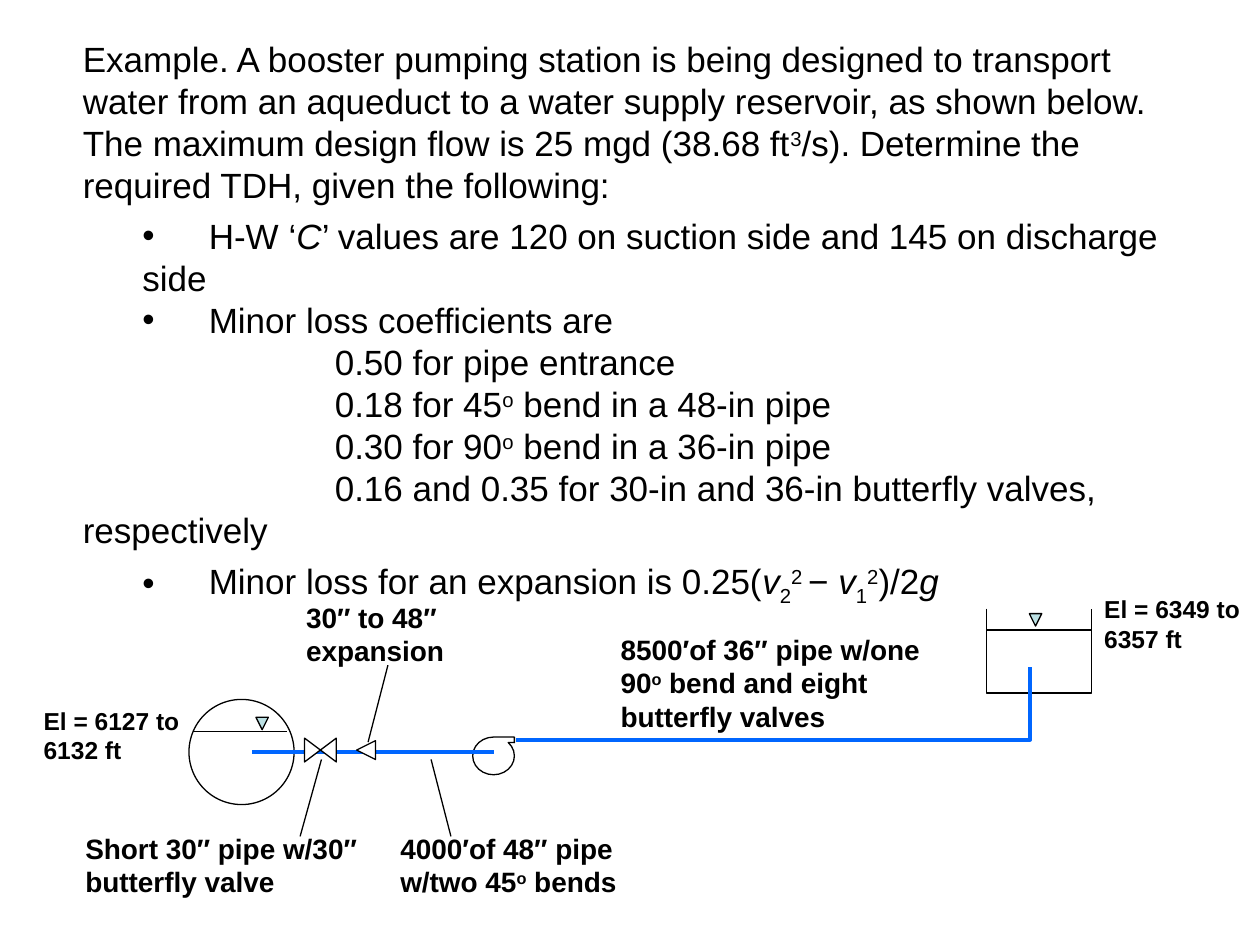
from lxml import etree
from pptx import Presentation, util as u
from pptx.dml.color import RGBColor
from pptx.enum import shapes as sh
from pptx.oxml.ns import qn

INK, PIPE, WATER, WHITE = "000000", "0066FF", "BBE0E3", "FFFFFF"
FORM = sh.MSO_SHAPE
STYLE = {"^": ("baseline", "30000"), "_": ("baseline", "-25000"), "~": ("i", "1")}
PLAIN, BULLET, ITEM = range(3)
BODY = [
    (PLAIN, 0, "Example. A booster pumping station is being designed to transport water from an "
     "aqueduct to a water supply reservoir, as shown below. The maximum design flow is 25 mgd "
     "(38.68 ft|^3|/s). Determine the required TDH, given the following:"),
    (BULLET, 5, "H-W ‘|~C|’ values are 120 on suction side and 145 on discharge side"),
    (BULLET, 0, "Minor loss coefficients are"),
    (ITEM, 0, "0.50 for pipe entrance"),
    (ITEM, 0, "0.18 for 45|^o| bend in a 48-in pipe"),
    (ITEM, 0, "0.30 for 90|^o| bend in a 36-in pipe"),
    (ITEM, 0, "0.16 and 0.35 for 30-in and 36-in butterfly valves, respectively"),
    (BULLET, 5, "Minor loss for an expansion is 0.25(|~v|_2|^2 |− |~v|_1|^2|)/2|~g"),
]


def tint(part, code):
    """Give a fill, line or font colour format a hex colour."""
    part.rgb = RGBColor.from_string(code)


def write(para, words, size, bold=False):
    """Write runs parted by bars, where ^ raises, _ lowers and ~ slants."""
    for piece in words.split("|"):
        run = para.add_run()
        mark = STYLE.get(piece[0])
        run.text = piece[1:] if mark else piece
        font = run.font
        font.name, font.size, font.bold = "Arial", u.Pt(size), bold
        tint(font.color, INK)
        if mark:
            run._r.get_or_add_rPr().set(*mark)


def frame(slide, x, y, w, h):
    """Add a wrapped text box and return its text frame."""
    box = slide.shapes.add_textbox(u.Cm(x), u.Cm(y), u.Cm(w), u.Cm(h))
    box.text_frame.word_wrap = True
    return box.text_frame


def label(slide, x, y, w, h, words, size=16):
    """Add a bold label."""
    write(frame(slide, x, y, w, h).paragraphs[0], words, size, True)


def edge(shape, code=INK, width=0.75):
    """Set the outline of a shape or line."""
    tint(shape.line.fill.fore_color if shape.line.fill.solid() else shape.line.color, code)
    shape.line.width = u.Pt(width)


def form(slide, kind, x, y, w, h, fill=None, turn=0):
    """Add a preset shape with a thin outline."""
    shape = slide.shapes.add_shape(kind, u.Cm(x), u.Cm(y), u.Cm(w), u.Cm(h))
    shape.shadow.inherit = False
    shape.rotation = turn
    if fill:
        shape.fill.solid()
        tint(shape.fill.fore_color, fill)
    else:
        shape.fill.background()
    edge(shape)
    return shape


def line(slide, x1, y1, x2, y2, code=INK, width=0.75):
    """Add a straight line without shadow."""
    link = slide.shapes.add_connector(sh.MSO_CONNECTOR.STRAIGHT, *map(u.Cm, (x1, y1, x2, y2)))
    edge(link, code, width)
    etree.SubElement(link._element.spPr, qn("a:effectLst"))


def trace(slide, points, code=INK, width=0.75):
    """Draw an open outline through the points."""
    spots = [(u.Cm(x), u.Cm(y)) for x, y in points]
    pen = slide.shapes.build_freeform(*spots[0])
    pen.add_line_segments(spots[1:], close=False)
    shape = pen.convert_to_shape()
    shape.shadow.inherit = False
    shape.fill.background()
    edge(shape, code, width)


def level(slide, x, y):
    """Add a water level mark."""
    form(slide, FORM.ISOSCELES_TRIANGLE, x, y, 0.25, 0.25, WATER, 180)


def body(slide, x, y, w, h):
    """Write the problem statement."""
    text = frame(slide, x, y, w, h)
    for n, (kind, gap, words) in enumerate(BODY):
        para = text.paragraphs[0] if n == 0 else text.add_paragraph()
        props = para._p.get_or_add_pPr()
        para.space_before = u.Pt(gap)
        if kind == BULLET:
            props.set("marL", str(u.Cm(1.2)))
            props.set("indent", "0")
            etree.SubElement(props, qn("a:buFont"), typeface="Arial")
            etree.SubElement(props, qn("a:buChar"), char="•")
        if kind != PLAIN:
            tabs = etree.SubElement(props, qn("a:tabLst"))
            for stop in (2.54, 5.08):
                etree.SubElement(tabs, qn("a:tab"), pos=str(u.Cm(stop)), algn="l")
        write(para, "\t" * kind + words, 20)


def source(slide, x, y, d):
    """Draw the aqueduct in section."""
    form(slide, FORM.OVAL, x, y, d, d)
    line(slide, x + 0.08, y + 0.64, x + d - 0.14, y + 0.64)
    level(slide, x + 1.35, y + 0.36)
    label(slide, x - 3.18, y, 3.38, 1.45, "El = 6127 to 6132 ft", 14)


def suction(slide, x, y, w):
    """Draw the suction pipe with valve, expansion and pump."""
    pump = form(slide, FORM.FLOWCHART_SEQUENTIAL_ACCESS_STORAGE, x + w - 0.43, y - 0.3, 0.84, 0.76)
    pump._element.spPr.get_or_add_xfrm().set("flipV", "1")
    line(slide, x, y, x + w, y, PIPE, 2.25)
    form(slide, FORM.FLOWCHART_COLLATE, x + 1.14, y - 0.36, 0.48, 0.64, WHITE, 270)
    form(slide, FORM.ISOSCELES_TRIANGLE, x + 2.11, y - 0.23, 0.38, 0.38, WHITE, 270)
    for x1, y1, x2, y2 in ((0.97, 1.7, 1.4, 0.15), (2.34, -0.2, 2.74, -1.75), (4.01, 1.7, 3.61, 0.15)):
        line(slide, x + x1, y + y1, x + x2, y + y2)
    for dx, dy, wide, words in (
        (-3.61, 1.47, 6.15, "Short 30″ pipe w/30″ butterfly valve"),
        (0.84, -3.18, 4.01, "30″ to 48″ expansion"),
        (2.74, 1.47, 5.51, "4000′of 48″ pipe w/two 45|^o| bends"),
    ):
        label(slide, x + dx, y + dy, wide, 1.63, words)


def tank(slide, x, y, w, h):
    """Draw the open reservoir."""
    trace(slide, [(x, y), (x, y + h), (x + w, y + h), (x + w, y)])
    line(slide, x, y + 0.43, x + w, y + 0.43)
    level(slide, x + 0.86, y + 0.1)
    label(slide, x + w, y - 0.41, 3.38, 1.45, "El = 6349 to 6357 ft", 14)


def outlet(slide, x, y, w, h):
    """Draw the discharge pipe rising into the reservoir."""
    trace(slide, [(x, y + h), (x + w, y + h), (x + w, y)], PIPE, 2.25)
    label(slide, x + 1.85, y - 0.82, 6.55, 2.29,
          "8500′of 36″ pipe w/one 90|^o| bend and eight butterfly valves")


def main():
    """Build and save the slide."""
    deck = Presentation()
    deck.slide_width, deck.slide_height = u.Cm(25.4), u.Cm(19.05)
    slide = deck.slides.add_slide(deck.slide_layouts[6])
    body(slide, 1.42, 0.64, 22.94, 10.16)
    source(slide, 3.81, 14.1, 2.12)
    suction(slide, 5.08, 15.16, 4.88)
    tank(slide, 19.89, 12.27, 2.12, 1.7)
    outlet(slide, 10.41, 13.44, 10.36, 1.47)
    deck.save("out.pptx")


if __name__ == "__main__":
    main()
